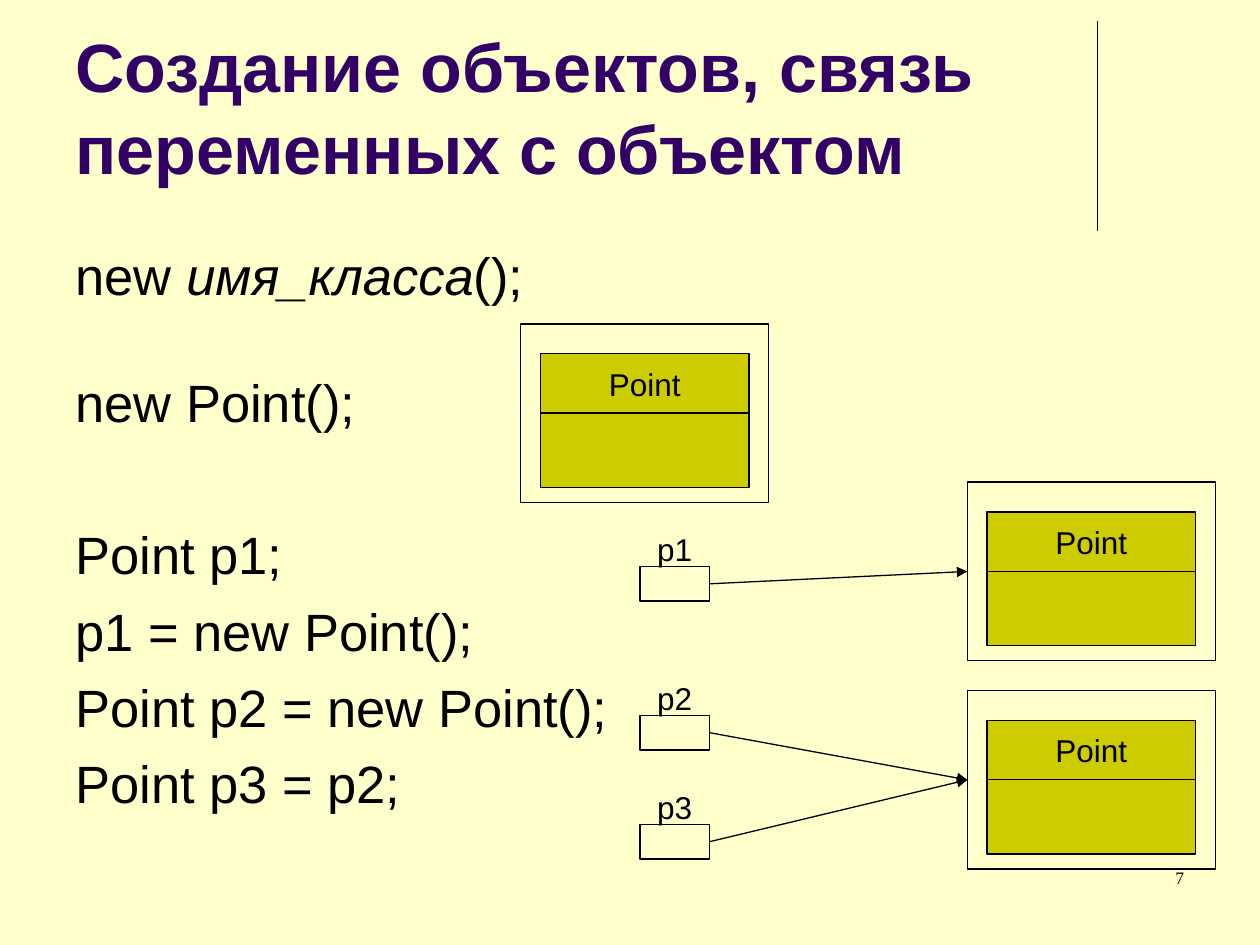
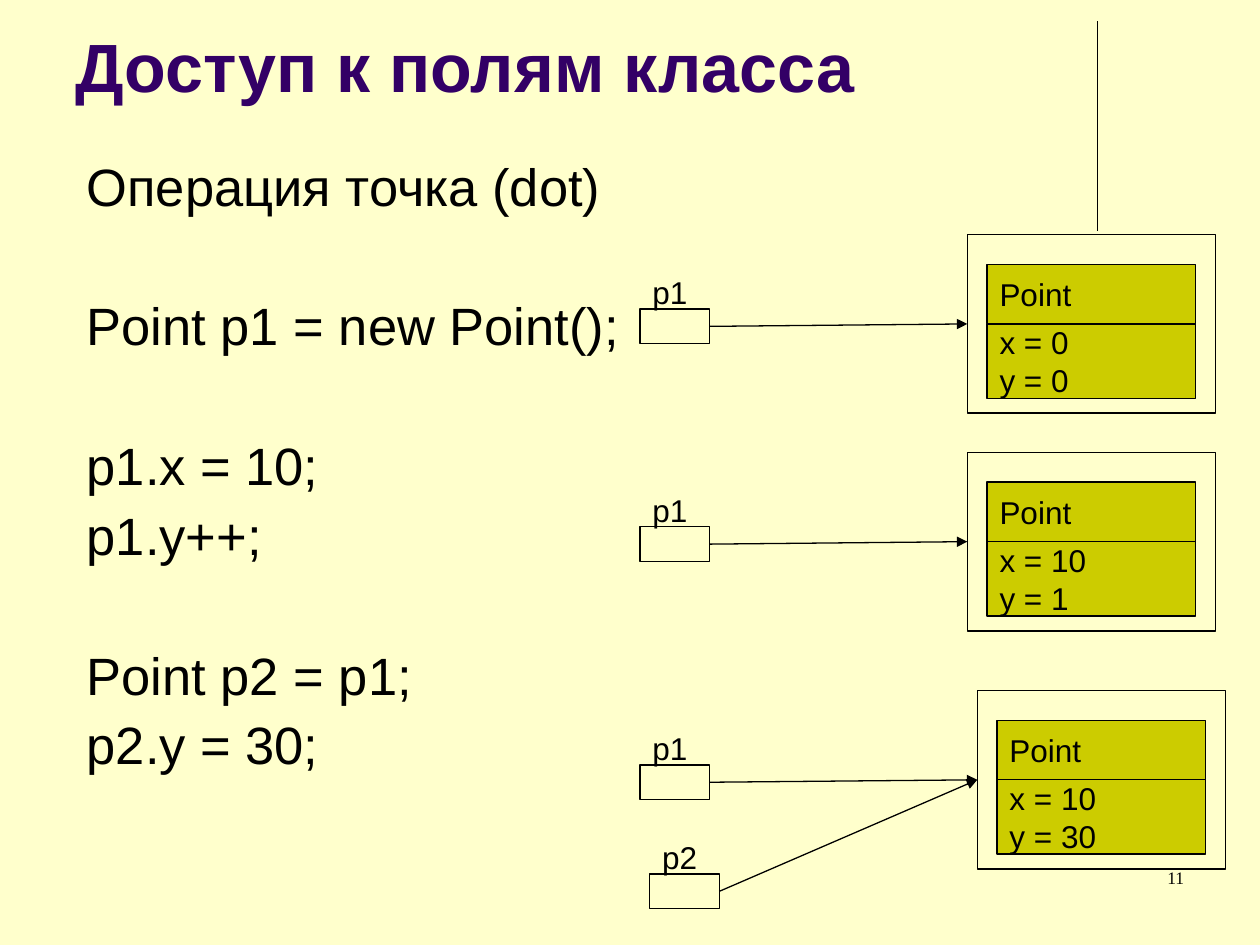
from dataclasses import dataclass

from lxml import etree
from pptx import Presentation
from pptx import util as u
from pptx.dml.color import RGBColor
from pptx.enum import shapes, text
from pptx.oxml import ns

Cm, Pt = u.Cm, u.Pt


@dataclass(frozen=True)
class Theme:
    paper: RGBColor = RGBColor(0xFF, 0xFF, 0xCC)
    ink: RGBColor = RGBColor(0, 0, 0)
    heading: RGBColor = RGBColor(0x33, 0x00, 0x66)
    object_fill: RGBColor = RGBColor(0xCC, 0xCC, 0x00)
    font: str = "Arial"
    number_font: str = "Times New Roman"
    title_size: float = 39
    body_size: float = 30
    label_size: float = 18
    number_size: float = 10
    line_width: float = 0.75


class Slides:
    """Holds the deck, its theme and the page being drawn."""

    def __init__(self, theme):
        self.theme = theme
        self.deck = Presentation()
        self.deck.slide_width, self.deck.slide_height = Cm(25.4), Cm(19.05)
        fill = self.deck.slide_master.background.fill
        fill.solid()
        fill.fore_color.rgb = theme.paper
        self.page = None

    def new_page(self, title, number):
        theme = self.theme
        self.page = self.deck.slides.add_slide(self.deck.slide_layouts[6])
        self.line((22.12, 0.43), (22.12, 4.65))
        self.text_box((1.27, 0.37, 20.96, 3.6), [title], wrap=True,
                      size=theme.title_size, bold=True, color=theme.heading)
        self.text_box((18.2, 17.35, 5.92, 1.27), [str(number)], wrap=True,
                      align=text.PP_ALIGN.RIGHT, size=theme.number_size,
                      name=theme.number_font)

    def set_text(self, box, lines, align=text.PP_ALIGN.LEFT, wrap=False,
                 anchor=text.MSO_ANCHOR.TOP, gaps=(), spacing=None, **font):
        """Fill a box; a line is a string or a list of (string, italic) spans."""
        frame = box.text_frame
        frame.word_wrap, frame.vertical_anchor = wrap, anchor
        color = font.pop("color", self.theme.ink)
        font = {"name": self.theme.font, **font, "size": Pt(font["size"])}
        for index, line in enumerate(lines):
            para = frame.add_paragraph() if index else frame.paragraphs[0]
            para.alignment, para.line_spacing = align, spacing
            if gaps:
                para.space_before = Pt(gaps[index])
            spans = [(line, False)] if isinstance(line, str) else line
            for words, italic in spans:
                span = para.add_run()
                span.text = words
                for key, value in {**font, "italic": italic}.items():
                    setattr(span.font, key, value)
                span.font.color.rgb = color

    def text_box(self, place, lines, **style):
        box = self.page.shapes.add_textbox(*map(Cm, place))
        self.set_text(box, lines, **style)

    def body(self, place, lines, gaps, spacing=None):
        self.text_box(place, lines, wrap=True, gaps=gaps, spacing=spacing,
                      size=self.theme.body_size)

    def rectangle(self, place, fill=None):
        box = self.page.shapes.add_shape(shapes.MSO_SHAPE.RECTANGLE, *map(Cm, place))
        box.shadow.inherit = False
        if fill is None:
            box.fill.background()
        else:
            box.fill.solid()
            box.fill.fore_color.rgb = fill
        self.outline(box)
        return box

    def outline(self, shape):
        shape.line.color.rgb = self.theme.ink
        shape.line.width = Pt(self.theme.line_width)

    def line(self, start, end):
        line = self.page.shapes.add_connector(
            shapes.MSO_CONNECTOR.STRAIGHT, *map(Cm, (*start, *end)))
        self.outline(line)
        etree.SubElement(line._element.spPr, ns.qn("a:effectLst"))
        return line

    def arrow(self, variable, target):
        """Point from the right side of a variable to the left side of an object."""
        arrow = self.line((0, 0), (0, 0))
        arrow.begin_connect(variable, 3)
        arrow.end_connect(target, 1)
        outline = arrow._element.spPr.find(ns.qn("a:ln"))
        etree.SubElement(outline, ns.qn("a:tailEnd"), type="triangle")

    def label(self, box, lines, align):
        self.set_text(box, lines, align=align, anchor=text.MSO_ANCHOR.MIDDLE,
                      size=self.theme.label_size)

    def point_object(self, left, top, fields=(), align=text.PP_ALIGN.LEFT):
        """Draw a framed Point object with its name and its field values."""
        fill = self.theme.object_fill
        name = self.rectangle((left + 0.4, top + 0.6, 4.2, 1.2), fill)
        self.label(name, ["Point"], align)
        state = self.rectangle((left + 0.4, top + 1.8, 4.2, 1.5), fill)
        if fields:
            self.label(state, fields, align)
        return self.rectangle((left, top, 5, 3.6))

    def variable(self, name, left, top, target, align=text.PP_ALIGN.LEFT):
        """Draw a named variable cell that refers to the target object."""
        cell = self.rectangle((left, top, 1.4, 0.7))
        caption = self.page.shapes.add_textbox(*map(Cm, (left, top - 0.7, 1.4, 0.7)))
        self.label(caption, [name], align)
        self.arrow(cell, target)


def creation_page(slides):
    slides.new_page("Создание объектов, связь переменных с объектом", 7)
    slides.body(
        (1.27, 4.78, 22.86, 12.24),
        [[("new ", False), ("имя_класса", True), ("();", False)],
         "new Point();", "Point p1;", "p1 = new Point();",
         "Point p2 = new Point();", "Point p3 = p2;"],
        gaps=(0, 36.5, 51, 7.5, 7.5, 7.5))
    center = text.PP_ALIGN.CENTER
    slides.point_object(10.5, 6.53, align=center)
    first = slides.point_object(19.5, 9.72, align=center)
    second = slides.point_object(19.5, 13.92, align=center)
    for name, top, target in (("p1", 11.42, first), ("p2", 14.42, second),
                              ("p3", 16.62, second)):
        slides.variable(name, 12.9, top, target, center)


def access_page(slides):
    slides.new_page("Доступ к полям класса", 11)
    slides.body(
        (1.5, 3.12, 22.86, 13.67),
        ["Операция точка (dot)", "Point p1 = new Point();", "p1.x = 10;",
         "p1.y++;", "Point p2 = p1;", "p2.y = 30;"],
        gaps=(0, 47.4, 47.4, 7.5, 47.4, 7.5), spacing=0.9)
    for left, top, x, y in ((19.5, 4.73, 0, 0), (19.5, 9.12, 10, 1),
                            (19.7, 13.92, 10, 30)):
        target = slides.point_object(left, top, [f"x = {x}", f"y = {y}"])
        slides.variable("p1", 12.9, top + 1.5, target)
    slides.variable("p2", 13.1, 17.62, target)


def main():
    slides = Slides(Theme())
    creation_page(slides)
    access_page(slides)
    slides.deck.save("out.pptx")


if __name__ == "__main__":
    main()
